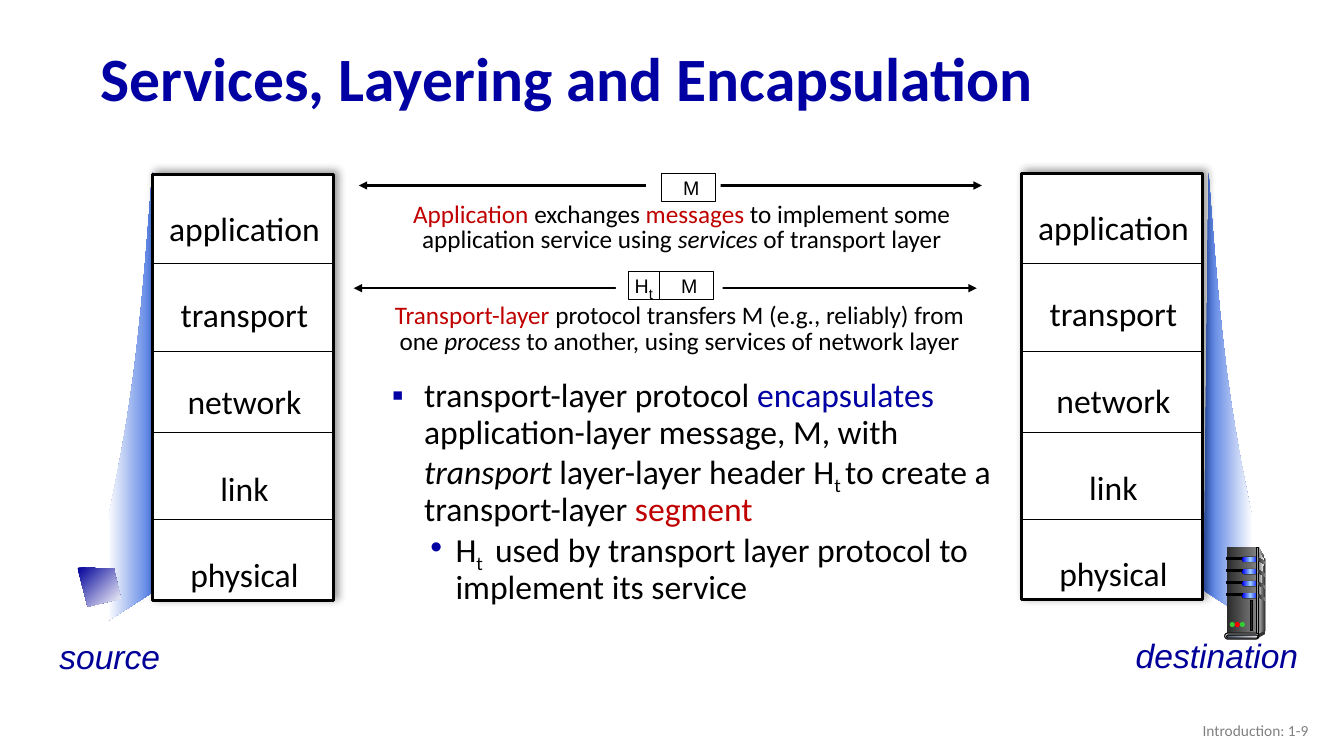
from lxml.etree import SubElement
from pptx import Presentation
from pptx.dml.color import RGBColor
from pptx.enum.shapes import MSO_CONNECTOR as LINE, MSO_SHAPE as SHAPE
from pptx.enum.text import MSO_ANCHOR as ANCHOR, MSO_AUTO_SIZE as AUTO, PP_ALIGN as ALIGN
from pptx.oxml.ns import qn
from pptx.util import Pt

TITLE = "Services, Layering and Encapsulation"
LAYERS = ["application", "transport", "network", "link", "physical"]
DIVIDERS = [188, 251, 309, 371]
STACKS = [(108.7, 124.5), (729.4, 123.8)]
NAVY, RED, BLACK, WHITE = "0000A3", "C00000", "000000", "FFFFFF"
STYLES = {
    "": {}, "red": {"color": RED}, "blue": {"color": NAVY}, "italic": {"italic": True},
    "sub": {"sub": True}, "big sub": {"sub": True, "size": 18},
}
M_CELL = (38.9, 4, [("M", "")])  # width, left inset, runs
H_CELL = (22.3, 0, [("H", ""), ("t", "big sub")])
EXCHANGES = [
    {"arrow": (256.3, 132.5), "mask": (461.5, 117.4, 53.3), "cells": (472.3, 123.8, [M_CELL]),
     "caption": (265.7, 141.1),
     "runs": [("Application ", "red"), ("exchanges ", ""), ("messages", "red"),
              (" to implement some application service using ", ""), ("services", "italic"),
              (" of transport layer", "")]},
    {"arrow": (252.7, 205.9), "mask": (439.9, 186.5, 76.3), "cells": (448.6, 193.7, [H_CELL, M_CELL]),
     "caption": (264.2, 213.8),
     "runs": [("Transport-layer ", "red"), ("protocol transfers M (e.g., reliably) from one ", ""),
              ("process", "italic"), (" to another, using services of network layer", "")]},
]
BULLETS = [
    [("transport-layer protocol ", ""), ("encapsulates", "blue"),
     (" application-layer message, M, with ", ""), ("transport", "italic"),
     (" layer-layer header H", ""), ("t ", "sub"), ("to create a transport-layer ", ""),
     ("segment", "red")],
    [("H", ""), ("t ", "sub"), (" used by transport layer protocol to implement its service", "")],
]
BULLET_MARKS = [("▪", 23, -23), ("•", 45.4, -18)]  # mark, left margin, first-line indent
HOSTS = [("source", 35.3, 450.7, 86.4), ("destination", 804.2, 450, 131.8)]
LAPTOP = [(55.4, 405.4), (81.4, 406.1), (86.4, 427.7), (62.6, 433.4)]

prs = Presentation()
prs.slide_width, prs.slide_height = Pt(960), Pt(540)
slide = prs.slides.add_slide(prs.slide_layouts[5])
shapes = slide.shapes


def rgb(color):
    return RGBColor.from_string(color)


def paint(sp, fill, line=None, width=0.75, angle=0):
    """Fill with one colour, or with a gradient when fill is a list."""
    sp.shadow.inherit = False
    if isinstance(fill, list):
        sp.fill.gradient()
        sp.fill.gradient_angle = 0
        grad = sp._element.spPr.find(qn("a:gradFill"))
        stops = grad.find(qn("a:gsLst"))
        for stop in list(stops):
            stops.remove(stop)
        for i, color in enumerate(fill):
            gs = SubElement(stops, qn("a:gs"), pos=str(100000 * i // (len(fill) - 1)))
            SubElement(gs, qn("a:srgbClr"), val=color)
        grad.find(qn("a:lin")).set("ang", str(angle * 60000))
    else:
        sp.fill.solid()
        sp.fill.fore_color.rgb = rgb(fill)
    if line:
        sp.line.color.rgb = rgb(line)
        sp.line.width = Pt(width)
    else:
        sp.line.fill.background()
    return sp


def add_box(x, y, w, h, fill, line=None, width=0.75, kind=SHAPE.RECTANGLE):
    sp = shapes.add_shape(kind, Pt(x), Pt(y), Pt(w), Pt(h))
    if kind == SHAPE.ROUNDED_RECTANGLE:
        sp.adjustments[0] = 0.5
    return paint(sp, fill, line, width)


def add_outline(points, fill, angle=0):
    (x, y), *rest = [(Pt(px), Pt(py)) for px, py in points]
    fb = shapes.build_freeform(x, y, scale=1.0)
    fb.add_line_segments(rest, close=True)
    return paint(fb.convert_to_shape(), fill, angle=angle)


def bezier(*controls, steps=16):
    curve = []
    for i in range(steps + 1):
        t = i / steps
        weights = [(1 - t) ** 3, 3 * t * (1 - t) ** 2, 3 * t * t * (1 - t), t ** 3]
        curve.append(tuple(sum(k * c[axis] for k, c in zip(weights, controls)) for axis in (0, 1)))
    return curve


def add_line(x1, y1, x2, y2, width, arrows=False):
    cx = shapes.add_connector(LINE.STRAIGHT, Pt(x1), Pt(y1), Pt(x2), Pt(y2))
    cx.line.color.rgb = rgb(BLACK)
    cx.line.width = Pt(width)
    if arrows:
        ln = cx.line._get_or_add_ln()
        for end in ("a:headEnd", "a:tailEnd"):
            SubElement(ln, qn(end), type="triangle")
    SubElement(cx._element.spPr, qn("a:effectLst"))


def write_runs(p, runs, size, font="Calibri", color=BLACK, align=ALIGN.LEFT, spacing=None, **base):
    p.alignment = align
    if spacing:
        p.line_spacing = spacing
    for text, key in runs:
        style = {**base, **STYLES[key]}
        r = p.add_run()
        r.text = text
        r.font.name = font
        r.font.size = Pt(style.get("size", size))
        r.font.color.rgb = rgb(style.get("color", color))
        r.font.italic = style.get("italic", False)
        if style.get("sub"):
            r.font._element.set("baseline", "-25000")


def add_text(x, y, w, h, paragraphs, size, wrap=True, **look):
    tf = shapes.add_textbox(Pt(x), Pt(y), Pt(w), Pt(h)).text_frame
    tf.word_wrap = wrap
    for i, runs in enumerate(paragraphs):
        write_runs(tf.add_paragraph() if i else tf.paragraphs[0], runs, size, **look)
    return tf


def add_beam(x, y, side):
    """Light beam from a host up to its stack; side is 1 rightwards, -1 leftwards."""
    points = [(35.3, 320.4), (0, 298)]
    points += bezier((3.6, 0), (13, 128.9), (18.7, 168.5), (35.3, 248.4))
    add_outline([(x + side * dx, y + dy) for dx, dy in points], ["3C6CDF", WHITE],
                0 if side > 0 else 180)


def add_stack(x, y):
    sp = add_box(x, y, 129.6, 304.6, WHITE, BLACK, 2.25)
    shadow = SubElement(sp._element.spPr.find(qn("a:effectLst")), qn("a:outerShdw"),
                        blurRad=str(Pt(6)), dist=str(Pt(3)), dir=str(315 * 60000))
    color = SubElement(shadow, qn("a:srgbClr"), val=BLACK)
    SubElement(color, qn("a:alpha"), val="40000")
    add_text(x - 3.6, y - 12.9, 139, 317.5, [[(name, "")] for name in LAYERS], 24,
             align=ALIGN.CENTER, spacing=2.15)
    for divider in DIVIDERS:
        add_line(x, divider, x + 129.6, divider, 0.5)


def add_server(x, y):
    def part(dx, dy, w, h, fill, line=None, kind=SHAPE.RECTANGLE):
        add_box(x + dx, y + dy, w, h, fill, line, kind=kind)

    def panel(points, fill):
        add_outline([(x + dx, y + dy) for dx, dy in points], fill)

    pill, dark = SHAPE.ROUNDED_RECTANGLE, ["292929", "808080"]
    bays = [7.2 + 8.64 * i for i in range(4)]
    panel([(23, 0), (27.4, 8), (27.4, 59.8), (21.6, 62.6)], ["DDDDDD", "333333"])
    part(0, 0, 21.6, 62.6, dark)
    panel([(23, 3.6)] + bezier((26.6, 8.6), (23, 31.7), (23.8, 61), (23, 60.5)),
          ["808080", "F8F8F8"])
    for bay in bays:
        part(0, bay, 12.2, 1.4, BLACK, BLACK)
        part(10.8, bay - 0.5, 12.2, 3.9, BLACK, kind=pill)
        part(11.2, bay - 0.2, 11.5, 3.2, ["0000FF", "99CCFF", "0000FF"], kind=pill)
    part(21.6, 0, 1.4, 62.6, ["333333", "DDDDDD", "333333"], BLACK)
    for bay in bays:
        panel([(22.3, bay), (27.4, bay + 2.9), (27.4, bay + 5), (22.3, bay + 2.2)], dark)
    panel([(22.3, 62), (22.3, 64.8), (27.4, 62), (27.4, 59.8)], "333333")
    part(-1.4, 61.2, 24.5, 4.3, "DDDDDD", BLACK, pill)
    part(0, 62.6, 22.3, 2.2, ["44546A", "E7E6E6"], BLACK, pill)
    for i, light in enumerate(["33CC33", "FF0000", "33CC33"]):
        part(2.2 + 3.6 * i, 53.3, 3.6, 3.6, light, kind=SHAPE.OVAL)
    part(17.3, 38.2, 1.4, 20.9, "292929", BLACK)


def add_exchange(arrow, mask, cells, caption, runs):
    x, y = arrow
    add_line(x, y, x + 445, y, 1.5, arrows=True)
    add_text(*caption, 442.5, 44.6, [runs], 18, align=ALIGN.CENTER, spacing=0.85)
    add_box(*mask, 31, WHITE)
    x, y, fields = cells
    for width, inset, label in fields:
        tf = add_box(x, y, width, 20.2, WHITE, BLACK).text_frame
        tf.margin_left, tf.margin_right = Pt(inset), 0
        tf.margin_top = tf.margin_bottom = 0
        tf.vertical_anchor = ANCHOR.MIDDLE
        tf.word_wrap = False
        write_runs(tf.paragraphs[0], label, 14, font="Arial", align=ALIGN.CENTER)
        x += width


title = shapes.title
title.left, title.top, title.width, title.height = Pt(64.8), Pt(23), Pt(828), Pt(70.6)
title.text_frame.auto_size = AUTO.NONE
title.text_frame.vertical_anchor = ANCHOR.MIDDLE
write_runs(title.text_frame.paragraphs[0], [(TITLE, "")], 44, color=NAVY, spacing=0.9)
title.text_frame.paragraphs[0].runs[0].font.bold = True

add_beam(859.7, 123.8, 1)
add_beam(112.3, 123.1, -1)
add_outline(LAPTOP, ["000099", WHITE], 45)
add_server(876.2, 391)
for stack in STACKS:
    add_stack(*stack)
for name, x, y, w in HOSTS:
    add_text(x, y, w, 36, [[(name, "")]], 24, wrap=False, font="Arial", color="000099", italic=True)
for exchange in EXCHANGES[::-1]:
    add_exchange(**exchange)

tf = add_text(272.9, 267.1, 459.4, 164.2, BULLETS, 24, spacing=0.9)
for p, (mark, margin, indent) in zip(tf.paragraphs, BULLET_MARKS):
    pPr = p._p.get_or_add_pPr()
    pPr.set("marL", str(Pt(margin)))
    pPr.set("indent", str(Pt(indent)))
    SubElement(SubElement(pPr, qn("a:buClr")), qn("a:srgbClr"), val=NAVY)
    SubElement(pPr, qn("a:buFont"), typeface="Arial")
    SubElement(pPr, qn("a:buChar"), char=mark)

tf = add_text(725.8, 507.6, 216, 28.8, [[("Introduction: 1-9", "")]], 11, color="808080",
              align=ALIGN.RIGHT)
tf.vertical_anchor = ANCHOR.MIDDLE
prs.save("out.pptx")
